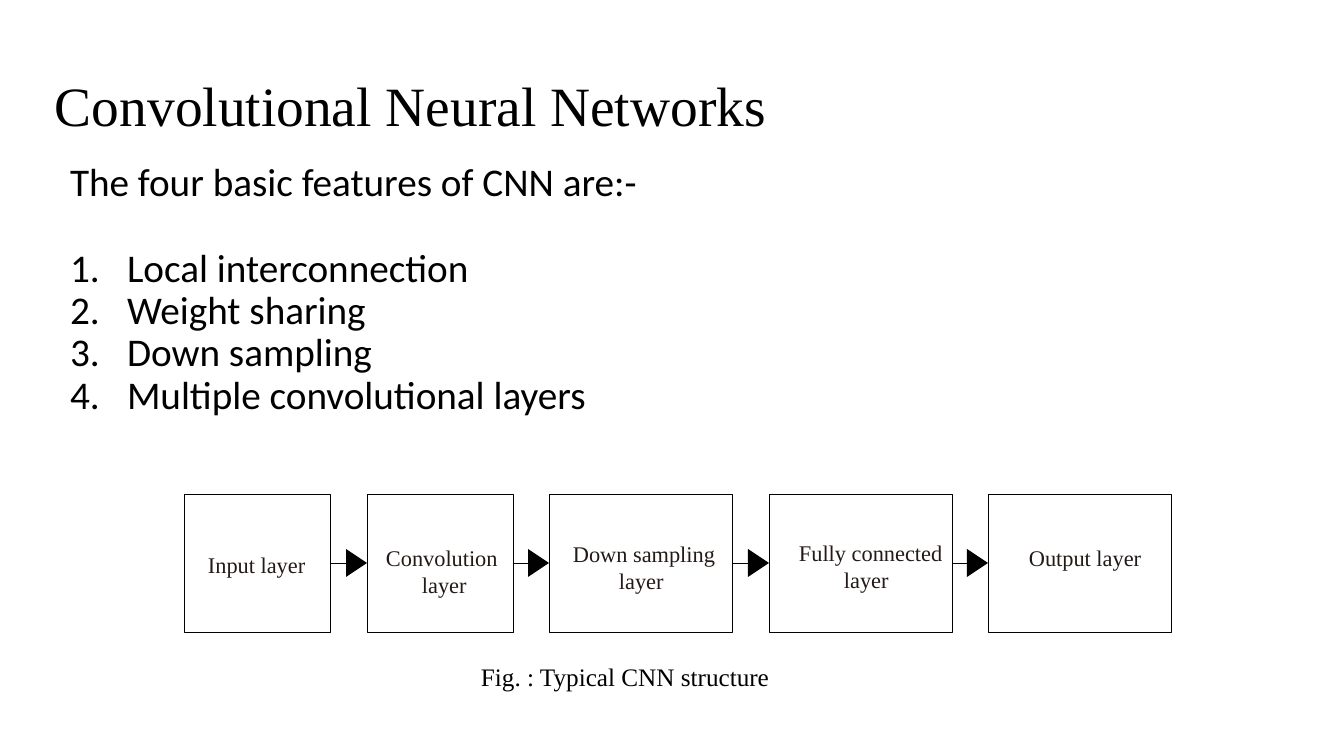
"""Build a slide on convolutional neural networks with a layer diagram."""
from dataclasses import dataclass

from lxml import etree
from pptx import Presentation
from pptx.dml.color import RGBColor
from pptx.enum.shapes import MSO_CONNECTOR, MSO_SHAPE
from pptx.enum.text import MSO_ANCHOR
from pptx.oxml.ns import qn
from pptx.util import Pt

RECTANGLE = MSO_SHAPE.RECTANGLE
STRAIGHT = MSO_CONNECTOR.STRAIGHT
TOP, MIDDLE = MSO_ANCHOR.TOP, MSO_ANCHOR.MIDDLE
PIXEL = 914400 / 100.8


@dataclass(frozen=True)
class Theme:
    """Colours, fonts and type sizes."""
    text: RGBColor = RGBColor(0, 0, 0)
    label: RGBColor = RGBColor(0x23, 0x19, 0x16)
    outline: RGBColor = RGBColor(1, 1, 1)
    serif: str = "Times New Roman"
    sans: str = "Calibri"
    title_size: float = 39.6
    body_size: float = 28
    caption_size: float = 18
    label_size: float = 16
    line_width: float = 0.15


THEME = Theme()
TITLE = "Convolutional Neural Networks"
INTRO = "The four basic features of CNN are:-"
FEATURES = ["Local interconnection", "Weight sharing", "Down sampling",
            "Multiple convolutional layers"]
CAPTION = "Fig. : Typical CNN structure"
LAYERS = [
    {"left": 184, "width": 146, "label_top": 549, "lines": [("Input layer", 208)]},
    {"left": 367, "width": 146, "label_top": 542,
     "lines": [("Convolution", 386), ("layer", 422)]},
    {"left": 549, "width": 183, "label_top": 538,
     "lines": [("Down sampling", 573), ("layer", 619)]},
    {"left": 769, "width": 183, "label_top": 537,
     "lines": [("Fully connected", 799), ("layer", 844)]},
    {"left": 988, "width": 183, "label_top": 542, "lines": [("Output layer", 1029)]},
]
LAYER_TOP, LAYER_HEIGHT, LABEL_PITCH = 494, 138, 27
ARROW_Y, ARROW_LINE, HEAD_LENGTH, HEAD_HALF = 563, 17, 21, 14
LIST_MARGIN, LIST_INDENT, INTRO_MARGIN = 74, -57, 17


def px(value):
    """Turn pixels into EMU."""
    return round(value * PIXEL)


def add_text(slide, box, lines, font, size, colour, spacing=1.0,
             inset=(10, 10), anchor=TOP, wrap=True):
    """Add a text box and return its paragraphs."""
    frame = slide.shapes.add_textbox(*map(px, box)).text_frame
    frame.word_wrap = wrap
    frame.vertical_anchor = anchor
    frame.margin_left = frame.margin_right = px(inset[0])
    frame.margin_top = frame.margin_bottom = px(inset[1])
    frame.text = "\n".join(lines)
    for paragraph in frame.paragraphs:
        paragraph.line_spacing = spacing
        paragraph.font.name = font
        paragraph.font.size = Pt(size)
        paragraph.font.color.rgb = colour
    return frame.paragraphs


def number(paragraph):
    """Give a paragraph an automatic number and a hanging indent."""
    properties = paragraph._p.get_or_add_pPr()
    properties.set("marL", str(px(LIST_MARGIN)))
    properties.set("indent", str(px(LIST_INDENT)))
    bullet = etree.Element(qn("a:buAutoNum"), type="arabicPeriod")
    properties.find(qn("a:defRPr")).addprevious(bullet)


def add_layer(slide, layer):
    """Draw a layer box with its label lines."""
    shape = slide.shapes.add_shape(
        RECTANGLE, *map(px, (layer["left"], LAYER_TOP, layer["width"], LAYER_HEIGHT)))
    shape.shadow.inherit = False
    shape.fill.background()
    shape.line.color.rgb = THEME.outline
    shape.line.width = Pt(THEME.line_width)
    for row, (text, left) in enumerate(layer["lines"]):
        box = (left, layer["label_top"] + row * LABEL_PITCH, 160, 53)
        add_text(slide, box, [text], THEME.serif, THEME.label_size, THEME.label,
                 spacing=1.07, inset=(0, 0), wrap=False)


def add_arrow(slide, start, end):
    """Draw a line and a solid triangular head between two layers."""
    line = slide.shapes.add_connector(
        STRAIGHT, *map(px, (start, ARROW_Y, start + ARROW_LINE, ARROW_Y)))
    line.line.color.rgb = THEME.outline
    line.line.width = Pt(THEME.line_width)
    etree.SubElement(line._element.spPr, qn("a:effectLst"))
    base = end - HEAD_LENGTH
    builder = slide.shapes.build_freeform(base, ARROW_Y - HEAD_HALF, PIXEL)
    builder.add_line_segments([(end, ARROW_Y), (base, ARROW_Y + HEAD_HALF)])
    head = builder.convert_to_shape()
    head.shadow.inherit = False
    head.fill.solid()
    head.fill.fore_color.rgb = THEME.outline
    head.line.fill.background()


presentation = Presentation()
presentation.slide_width, presentation.slide_height = px(1344), px(756)
slide = presentation.slides.add_slide(presentation.slide_layouts[6])

add_text(slide, (45, 66, 1252, 85), [TITLE], THEME.serif, THEME.title_size,
         THEME.text, spacing=0.9, anchor=MIDDLE)
intro, *features = add_text(slide, (43, 153, 1236, 493), [INTRO, *FEATURES],
                            THEME.sans, THEME.body_size, THEME.text, spacing=0.9)
intro._p.get_or_add_pPr().set("marL", str(px(INTRO_MARGIN)))
for feature in features:
    number(feature)
features[0].space_before = Pt(30.75)

for layer in LAYERS:
    add_layer(slide, layer)
for source, target in zip(LAYERS, LAYERS[1:]):
    add_arrow(slide, source["left"] + source["width"], target["left"])
add_text(slide, (471, 656, 672, 40), [CAPTION], THEME.serif,
         THEME.caption_size, THEME.text, inset=(10, 5))

presentation.save("out.pptx")
